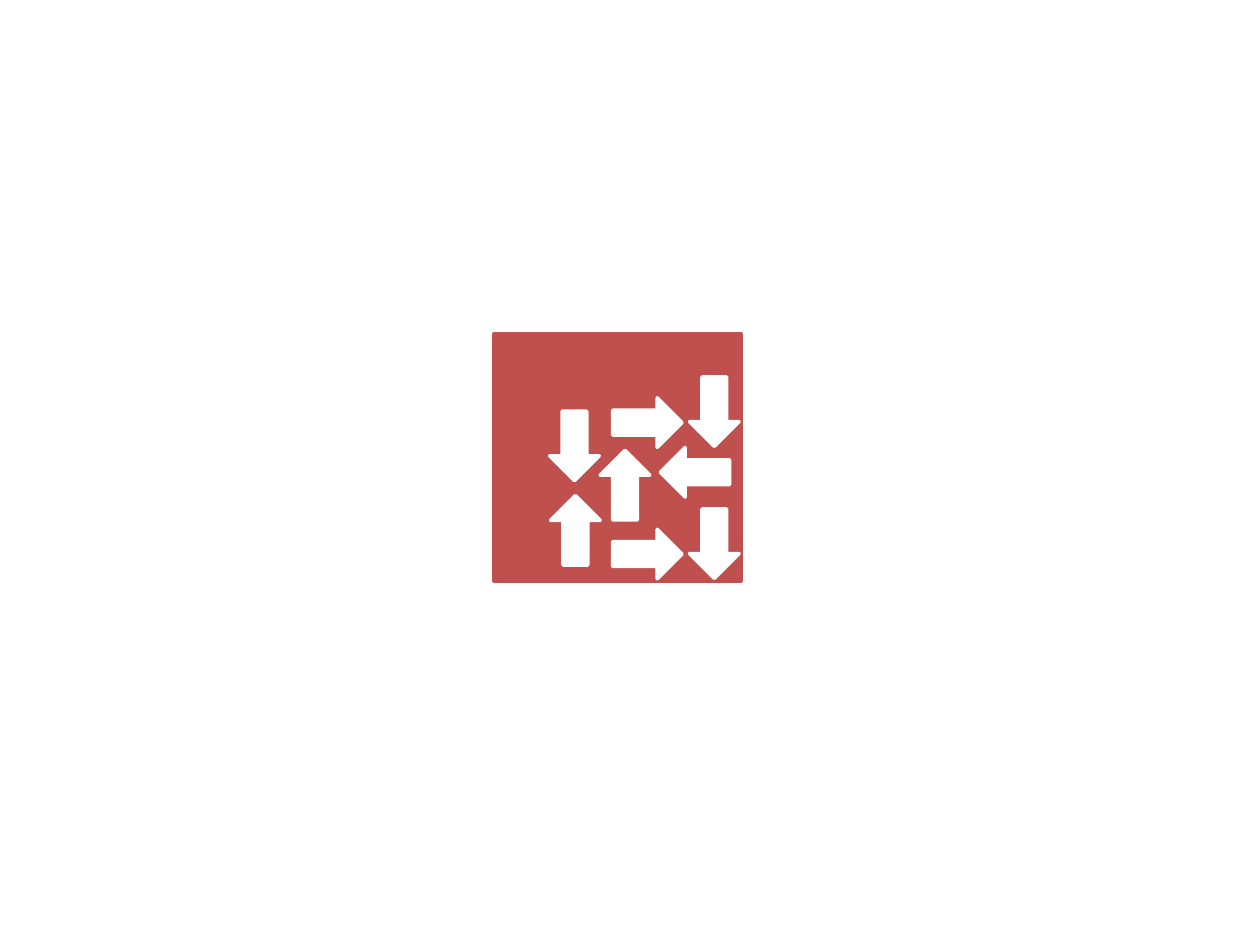
from pptx import Presentation
from pptx.dml.color import RGBColor
from pptx.enum import shapes
from pptx.util import Cm, Pt

RED, WHITE = "C0504D", "FFFFFF"
SQUARE = 4.98
ARROW_W, ARROW_H = 1.4, 1.0

prs = Presentation()
prs.slide_width, prs.slide_height = Cm(25.4), Cm(19.05)
s = prs.slides.add_slide(prs.slide_layouts[6])
icon = s.shapes.add_group_shape()


def add_part(kind, x, y, w, h, color, rotation=0):
    sp = icon.shapes.add_shape(kind, Cm(x), Cm(y), Cm(w), Cm(h))
    sp.rotation = rotation
    sp.shadow.inherit = False
    sp.fill.solid()
    sp.fill.fore_color.rgb = RGBColor.from_string(color)
    sp.line.color.rgb = RGBColor.from_string(color)
    sp.line.width = Pt(2)


# Red square
add_part(shapes.MSO_SHAPE.RECTANGLE, 9.96, 6.73, SQUARE, SQUARE, RED)

# White arrows: left, top, rotation
RIGHT, DOWN, LEFT, UP = 0, 90, 180, 270
arrows = [
    (10.9, 10.19, UP),
    (10.88, 8.49, DOWN),
    (13.7, 10.46, DOWN),
    (13.31, 9.02, LEFT),
    (12.35, 10.67, RIGHT),
    (11.9, 9.28, UP),
    (13.7, 7.8, DOWN),
    (12.35, 8.02, RIGHT),
]
for x, y, rotation in arrows:
    add_part(shapes.MSO_SHAPE.RIGHT_ARROW, x, y, ARROW_W, ARROW_H, WHITE, rotation)

prs.save("out.pptx")
